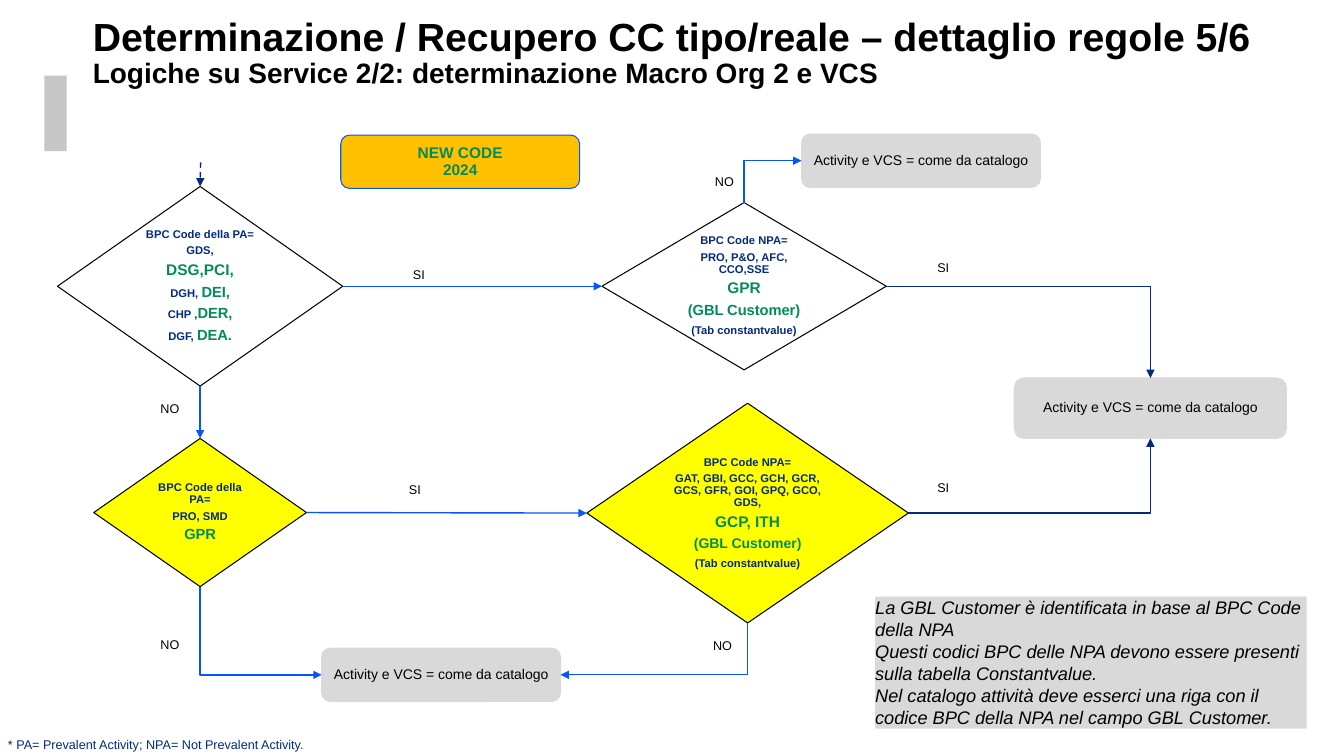
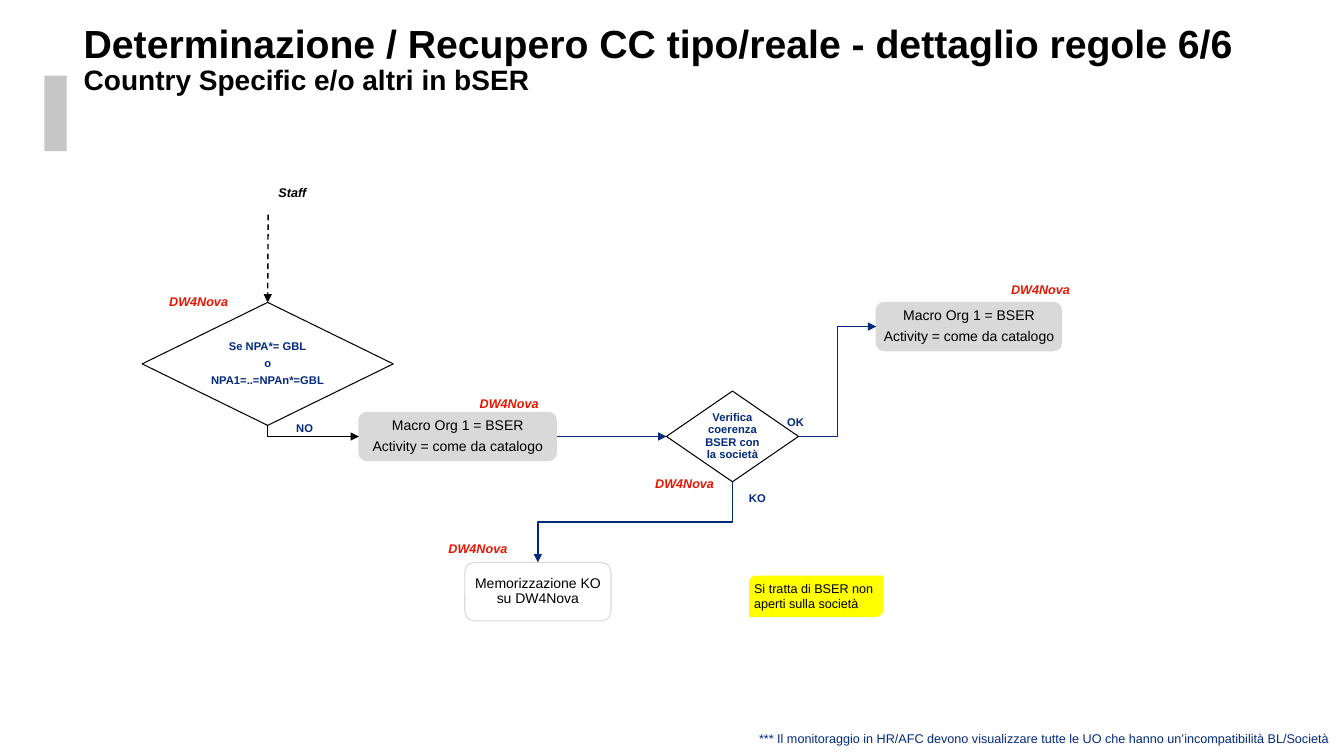
from lxml.etree import SubElement
from pptx import Presentation
from pptx.dml.color import RGBColor
from pptx.enum.dml import MSO_LINE
from pptx.enum.shapes import MSO_CONNECTOR as Conn, MSO_SHAPE as Kind
from pptx.enum.text import MSO_ANCHOR as Anchor, MSO_AUTO_SIZE as Fit, PP_ALIGN as Align
from pptx.oxml.ns import qn
from pptx.util import Inches, Pt

FONT = "Arial"
BLACK = RGBColor(0x00, 0x00, 0x00)
WHITE = RGBColor(0xFF, 0xFF, 0xFF)
NAVY = RGBColor(0x03, 0x2A, 0x7D)
BLUE = RGBColor(0x06, 0x55, 0xFA)
GREEN = RGBColor(0x02, 0x8C, 0x59)
RED = RGBColor(0xE7, 0x14, 0x01)
GREY = RGBColor(0xD9, 0xD9, 0xD9)
BAND = RGBColor(0xC6, 0xC6, 0xC6)
YELLOW = RGBColor(0xFF, 0xFF, 0x00)
AMBER = RGBColor(0xFF, 0xC0, 0x00)

TOP, LEFT, BOTTOM, RIGHT = range(4)
CATALOG = "Activity e VCS = come da catalogo"
TOOL = "DW4Nova"


def inches(box):
    return [Inches(v) for v in box]


def navy(text):
    return text, 8, NAVY


def green(text, size=10.5):
    return text, size, GREEN


def write(frame, paras, bold=False, italic=False, align=Align.CENTER,
          line=0.9, gap=0.0, inset=0.04, anchor=Anchor.MIDDLE):
    """Fill a frame; each paragraph is a list of (text, size, colour) runs.

    The gap after a paragraph is a share of its largest text size.
    """
    frame.word_wrap = True
    frame.auto_size = Fit.NONE
    frame.vertical_anchor = anchor
    frame.margin_left = frame.margin_right = Inches(inset)
    frame.margin_top = frame.margin_bottom = Inches(inset)
    for i, runs in enumerate(paras):
        para = frame.add_paragraph() if i else frame.paragraphs[0]
        para.alignment = align
        para.line_spacing = line
        para.space_before = Pt(0)
        para.space_after = Pt(round(gap * max(size for _, size, _ in runs), 1))
        for text, size, color in runs:
            run = para.add_run()
            run.text = text
            font = run.font
            font.name, font.size, font.color.rgb = FONT, Pt(size), color
            font.bold, font.italic = bold, italic


def add_form(slide, kind, box, fill=None, line=None):
    form = slide.shapes.add_shape(kind, *inches(box))
    form.shadow.inherit = False
    if fill is None:
        form.fill.background()
    else:
        form.fill.solid()
        form.fill.fore_color.rgb = fill
    if line is None:
        form.line.fill.background()
    else:
        form.line.color.rgb = line
        form.line.width = Pt(0.75)
    return form


def add_test(slide, box, paras, fill=None):
    """Draw a decision diamond."""
    form = add_form(slide, Kind.FLOWCHART_DECISION, box, fill, BLACK)
    write(form.text_frame, paras, bold=True, gap=0.4)
    return form


def add_step(slide, box, lines, fill=GREY, gap=0.0):
    form = add_form(slide, Kind.ROUNDED_RECTANGLE, box, fill, GREY)
    write(form.text_frame, [[(text, 10, BLACK)] for text in lines], gap=gap)
    return form


def add_text(slide, box, text, size=9, color=BLACK, **style):
    frame = slide.shapes.add_textbox(*inches(box)).text_frame
    write(frame, [[(text, size, color)]], **style)


def add_mark(slide, x, y, text):
    """Label a branch of the flow."""
    add_text(slide, (x, y, 0.45, 0.15), text, line=1, inset=0, anchor=Anchor.TOP)


def add_tag(slide, mid, y, text=TOOL, color=RED):
    add_text(slide, (mid - 0.85, y, 1.7, 0.24), text, color=color,
             bold=True, italic=True)


def style_arrow(arrow, color, dash=False):
    arrow.line.color.rgb = color
    arrow.line.width = Pt(1)
    if dash:
        arrow.line.dash_style = MSO_LINE.DASH
    props = arrow.element.spPr
    SubElement(props.find(qn("a:ln")), qn("a:tailEnd"), type="triangle")
    SubElement(props, qn("a:effectLst"))


def bend(arrow, upright, turns):
    """Set the frame of an elbow; upright means it leaves vertically."""
    x, y = arrow.begin_x, arrow.begin_y
    dx, dy = arrow.end_x - x, arrow.end_y - y
    wide, high = abs(dx), abs(dy)
    flip_h, flip_v = dx < 0, dy < 0
    if upright:
        wide, high = high, wide
        flip_h, flip_v = dy < 0, dx > 0
    arrow.left = x + (dx - wide) // 2
    arrow.top = y + (dy - high) // 2
    arrow.width, arrow.height = wide, high
    props = arrow.element.spPr
    frame = props.find(qn("a:xfrm"))
    frame.set("rot", "5400000" if upright else "0")
    frame.set("flipH", str(int(flip_h)))
    frame.set("flipV", str(int(flip_v)))
    props.find(qn("a:prstGeom")).set("prst", f"bentConnector{turns + 1}")


def link(slide, start, out, end, into, color, straight=False):
    """Join side out of one form to side into of the next."""
    kind = Conn.STRAIGHT if straight else Conn.ELBOW
    arrow = slide.shapes.add_connector(kind, 0, 0, 0, 0)
    arrow.begin_connect(start, out)
    arrow.end_connect(end, into)
    if not straight:
        bend(arrow, out % 2 == 0, 2 if out % 2 == into % 2 else 1)
    style_arrow(arrow, color)


def enter(slide, x, y, end, color):
    """Draw the dashed arrow that enters the flow from above."""
    arrow = slide.shapes.add_connector(Conn.STRAIGHT, *inches((x, y, x, y)))
    arrow.end_connect(end, TOP)
    style_arrow(arrow, color, dash=True)


def add_page(deck, layout, box, head, sub):
    slide = deck.slides.add_slide(layout)
    title = slide.shapes.title
    title.left, title.top, title.width, title.height = inches(box)
    write(title.text_frame, [[(head, 28, BLACK)], [(sub, 20, BLACK)]],
          bold=True, align=Align.LEFT, inset=0, anchor=Anchor.TOP)
    return slide


def add_band(slide, layout):
    """Put the side band on the layout that the slides share."""
    band = add_form(slide, Kind.RECTANGLE, (0.44, 0.75, 0.22, 0.75), BAND).element
    band.nvSpPr.cNvPr.set("id", "99")
    layout.shapes.element.append(band)


def build_service(slide):
    group = add_test(slide, (0.57, 1.85, 2.83, 1.98), [
        [navy("BPC Code della PA=")], [navy("GDS,")], [green("DSG,PCI,", 11)],
        [navy("DGH, "), green("DEI,")], [navy("CHP ,"), green("DER,")],
        [navy("DGF, "), green("DEA.")]], WHITE)
    pro = add_test(slide, (0.93, 4.35, 2.11, 1.47), [
        [navy("BPC Code della PA=")], [navy("PRO, SMD")], [green("GPR")]], YELLOW)
    staff = add_test(slide, (5.97, 2.01, 2.82, 1.66), [
        [navy("BPC Code NPA=")], [navy("PRO, P&O, AFC, CCO,SSE")],
        [green("GPR", 11)], [green("(GBL Customer)")],
        [navy("(Tab constantvalue)")]])
    world = add_test(slide, (5.82, 4, 3.19, 2.18), [
        [navy("BPC Code NPA=")],
        [navy("GAT, GBI, GCC, GCH, GCR, GCS, GFR, GOI, GPQ, GCO, GDS,")],
        [green("GCP, ITH", 11)], [green("(GBL Customer)", 10)],
        [navy("(Tab constantvalue)")]], YELLOW)
    low, side, high = [add_step(slide, box, [CATALOG]) for box in (
        (3.19, 6.43, 2.37, 0.53), (10.06, 3.75, 2.7, 0.6), (7.95, 1.33, 2.37, 0.53))]
    code = add_form(slide, Kind.ROUNDED_RECTANGLE, (3.38, 1.34, 2.37, 0.53), AMBER, BLUE)
    write(code.text_frame, [[green("NEW CODE", 11)], [green("2024", 11)]], bold=True)

    enter(slide, 1.99, 1.61, group, NAVY)
    link(slide, group, RIGHT, staff, LEFT, BLUE, straight=True)
    link(slide, group, BOTTOM, pro, TOP, BLUE, straight=True)
    link(slide, pro, RIGHT, world, LEFT, BLUE, straight=True)
    link(slide, pro, BOTTOM, low, LEFT, BLUE)
    link(slide, world, BOTTOM, low, RIGHT, BLUE)
    link(slide, staff, TOP, high, LEFT, BLUE)
    link(slide, staff, RIGHT, side, TOP, NAVY)
    link(slide, world, RIGHT, side, BOTTOM, NAVY)

    for x, y in ((3.93, 2.65), (3.89, 4.78), (9.13, 4.76), (9.13, 2.58)):
        add_mark(slide, x, y, "SI")
    for x, y in ((1.46, 3.98), (1.46, 6.32), (6.94, 6.33), (6.96, 1.72)):
        add_mark(slide, x, y, "NO")

    note = add_form(slide, Kind.RECTANGLE, (8.68, 5.92, 4.28, 1.31), GREY)
    write(note.text_frame, [[(text, 13, BLACK)] for text in (
        "La GBL Customer è identificata in base al BPC Code della NPA",
        "Questi codici BPC delle NPA devono essere presenti sulla tabella Constantvalue.",
        "Nel catalogo attività deve esserci una riga con il codice BPC della NPA "
        "nel campo GBL Customer.")],
        italic=True, align=Align.LEFT, line=1, inset=0, anchor=Anchor.TOP)
    add_text(slide, (-0.02, 7.28, 12.38, 0.24),
             "* PA= Prevalent Activity; NPA= Not Prevalent Activity.",
             color=NAVY, align=Align.LEFT, inset=0.1)


def build_country(slide):
    check = add_test(slide, (1.41, 3, 2.49, 1.22), [
        [navy("Se NPA*= GBL")], [navy("o")], [navy("NPA1=..=NPAn*=GBL")]])
    macro, done = [
        add_step(slide, box, ["Macro Org 1 = BSER", "Activity = come da catalogo"], gap=0.4)
        for box in ((3.56, 4.09, 1.96, 0.48), (8.69, 3, 1.84, 0.48))]
    match = add_test(slide, (6.61, 3.88, 1.31, 0.9),
                     [[navy("Verifica coerenza BSER con la società")]], WHITE)
    store = add_step(slide, (4.61, 5.58, 1.45, 0.58),
                     [f"Memorizzazione KO su {TOOL}"], WHITE, gap=0.4)

    enter(slide, 2.66, 2.13, check, BLACK)
    link(slide, check, BOTTOM, macro, LEFT, BLACK)
    link(slide, macro, RIGHT, match, LEFT, NAVY, straight=True)
    link(slide, match, RIGHT, done, LEFT, NAVY)
    link(slide, match, BOTTOM, store, TOP, NAVY)

    for x, y, text in ((2.84, 4.13, "NO"), (7.71, 4.07, "OK"), (7.33, 4.82, "KO")):
        add_text(slide, (x, y, 0.46, 0.24), text, 8, NAVY, bold=True,
                 align=Align.LEFT, line=1, inset=0.1)
    for mid, y in ((5.05, 3.89), (6.79, 4.69), (10.32, 2.76), (1.97, 2.88), (4.74, 5.33)):
        add_tag(slide, mid, y)
    add_tag(slide, 2.9, 1.8, "Staff", BLACK)

    hint = add_form(slide, Kind.ROUND_2_DIAG_RECTANGLE, (7.43, 5.71, 1.33, 0.41), YELLOW)
    write(hint.text_frame, [[("Si tratta di BSER non aperti sulla società", 9, BLACK)]],
          align=Align.LEFT, line=1, inset=0.03)
    add_text(slide, (7.43, 7.22, 5.9, 0.24),
             "*** Il monitoraggio in HR/AFC devono visualizzare tutte le UO "
             "che hanno un’incompatibilità BL/Società",
             color=NAVY, align=Align.LEFT, inset=0.1)


def main():
    deck = Presentation()
    deck.slide_width, deck.slide_height = Inches(13.33), Inches(7.5)
    layout = deck.slide_layouts.get_by_name("Title Only")
    service = add_page(deck, layout, (0.92, 0.17, 12.04, 0.43),
                       "Determinazione / Recupero CC tipo/reale – dettaglio regole 5/6",
                       "Logiche su Service 2/2: determinazione Macro Org 2 e VCS")
    add_band(service, layout)
    build_service(service)
    country = add_page(deck, layout, (0.83, 0.24, 12.21, 0.43),
                       "Determinazione / Recupero CC tipo/reale - dettaglio regole 6/6",
                       "Country Specific e/o altri in bSER")
    build_country(country)
    deck.save("out.pptx")


if __name__ == "__main__":
    main()
